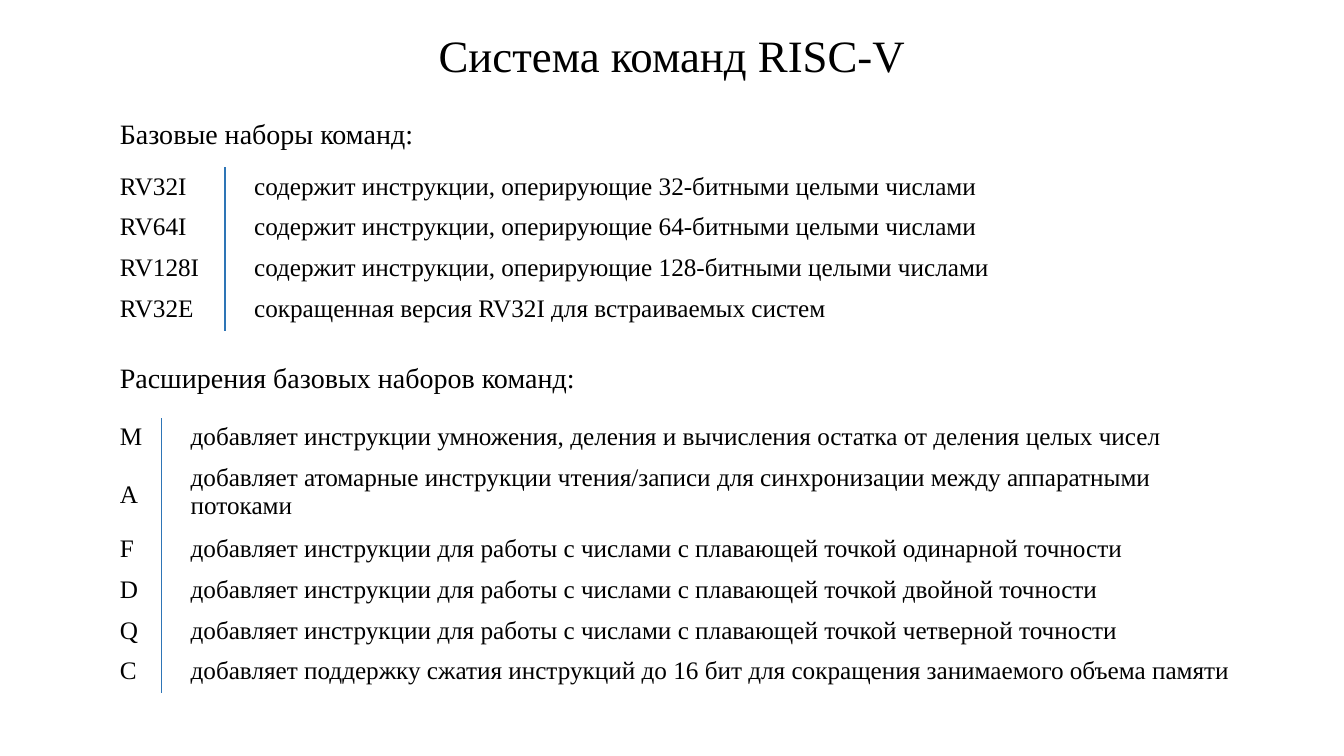
import pptx
import pptx.dml.color
import pptx.enum.text
import pptx.oxml
import pptx.oxml.ns
import pptx.util
from pptx.util import Cm

COLORS = {"text": "000000", "rule": "2E75B6"}
FONT = "Times New Roman"
NO_STYLE = "{2D5ABB26-0587-4C30-8999-92F81FD0307C}"
ALIGN = pptx.enum.text.PP_ALIGN
ANCHOR = pptx.enum.text.MSO_ANCHOR

BASE_SETS = [
    ("RV32I", "содержит инструкции, оперирующие 32-битными целыми числами"),
    ("RV64I", "содержит инструкции, оперирующие 64-битными целыми числами"),
    ("RV128I", "содержит инструкции, оперирующие 128-битными целыми числами"),
    ("RV32E", "сокращенная версия RV32I для встраиваемых систем"),
]
EXTENSIONS = [
    ("M", "добавляет инструкции умножения, деления и вычисления остатка от деления целых чисел"),
    ("A", "добавляет атомарные инструкции чтения/записи для синхронизации между аппаратными потоками"),
    ("F", "добавляет инструкции для работы с числами с плавающей точкой одинарной точности"),
    ("D", "добавляет инструкции для работы с числами с плавающей точкой двойной точности"),
    ("Q", "добавляет инструкции для работы с числами с плавающей точкой четверной точности"),
    ("C", "добавляет поддержку сжатия инструкций до 16 бит для сокращения занимаемого объема памяти"),
]


def write_text(frame, text, size=18, align=ALIGN.LEFT, line_spacing=None, indent=0):
    frame.word_wrap = True
    para = frame.paragraphs[0]
    para.alignment = align
    if line_spacing:
        para.line_spacing = line_spacing
    if indent:
        para._p.get_or_add_pPr().set("marL", str(Cm(indent)))
    span = para.add_run()
    span.text = text
    span.font.name = FONT
    span.font.size = pptx.util.Pt(size)
    span.font.color.rgb = pptx.dml.color.RGBColor.from_string(COLORS["text"])


class SlideBuilder:
    left = 2.77
    row_height = 1.03

    def __init__(self, deck):
        self.slide = deck.slides.add_slide(deck.slide_layouts[6])

    def text(self, text, left, top, width, height, **style):
        box = self.slide.shapes.add_textbox(Cm(left), Cm(top), Cm(width), Cm(height))
        write_text(box.text_frame, text, **style)

    def heading(self, text, top, width):
        self.text(text, self.left, top, width, 1.11, size=20)

    def border(self, cell, side):
        line = pptx.oxml.parse_xml(
            f'<a:{side} {pptx.oxml.ns.nsdecls("a")} w="{pptx.util.Pt(1)}"><a:solidFill>'
            f'<a:srgbClr val="{COLORS["rule"]}"/></a:solidFill></a:{side}>'
        )
        cell._tc.get_or_add_tcPr().insert(0, line)

    def table(self, rows, top, widths):
        frame = self.slide.shapes.add_table(
            len(rows), 2, Cm(self.left), Cm(top), Cm(sum(widths)), Cm(self.row_height * len(rows))
        )
        table = frame.table
        table.first_row = False
        table.horz_banding = False
        table._tbl.tblPr.find(pptx.oxml.ns.qn("a:tableStyleId")).text = NO_STYLE
        for column, width in zip(table.columns, widths):
            column.width = Cm(width)
        for index, row in enumerate(rows):
            table.rows[index].height = Cm(self.row_height)
            for number, (text, side, indent) in enumerate(zip(row, ("lnR", "lnL"), (0, 0.48))):
                cell = table.cell(index, number)
                cell.fill.background()
                self.border(cell, side)
                write_text(cell.text_frame, text, indent=indent)
        return table


def main():
    deck = pptx.Presentation()
    deck.slide_width, deck.slide_height = Cm(33.87), Cm(19.05)
    page = SlideBuilder(deck)
    page.text("Система команд RISC-V", 0, 0.84, 33.87, 1.32,
              size=32, align=ALIGN.CENTER, line_spacing=0.8)
    page.heading("Базовые наборы команд:", 2.82, 10.9)
    page.table(BASE_SETS, 4.22, (2.9, 21.28))
    page.heading("Расширения базовых наборов команд:", 8.97, 14.15)
    extensions = page.table(EXTENSIONS, 10.54, (1.3, 27.33))
    extensions.cell(1, 0).vertical_anchor = ANCHOR.MIDDLE
    deck.save("out.pptx")


if __name__ == "__main__":
    main()
